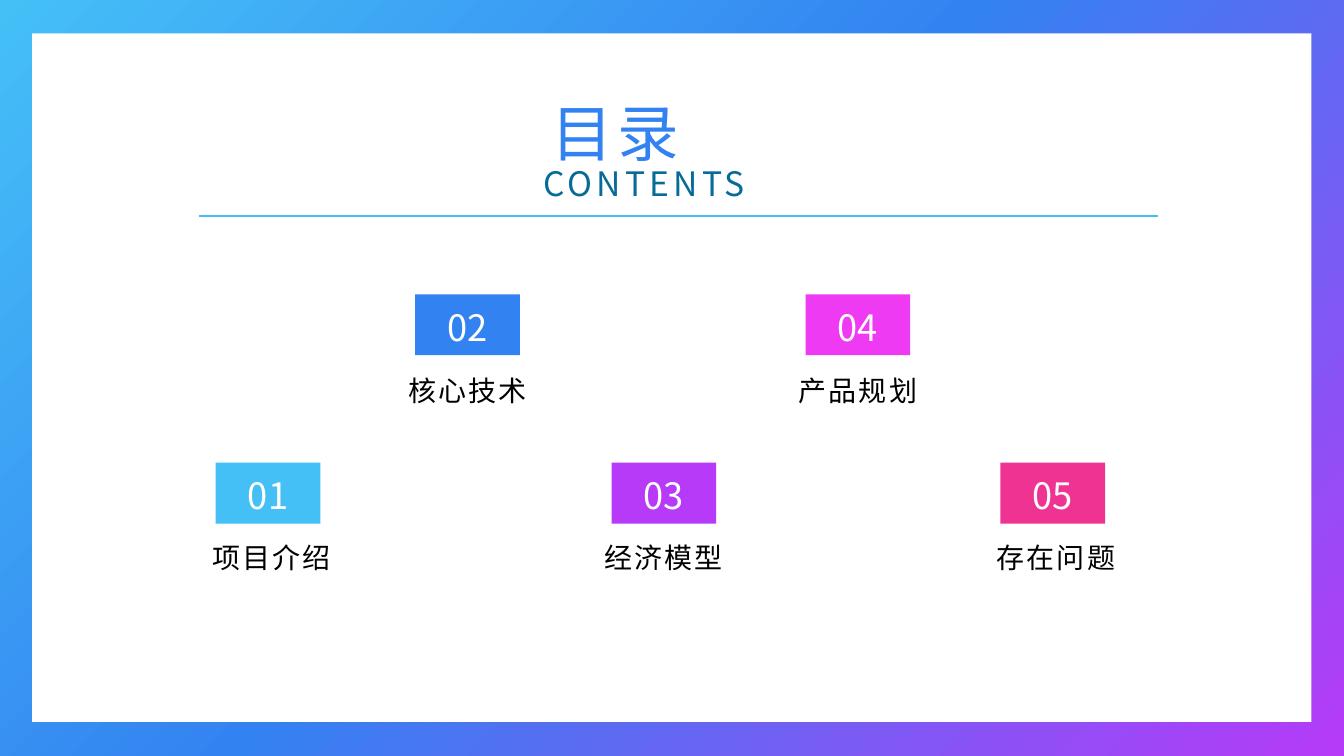
import copy

import pptx
import pptx.dml.color
import pptx.enum.shapes
import pptx.enum.text
import pptx.oxml
import pptx.oxml.ns
import pptx.util

Pt = pptx.util.Pt
RGBColor = pptx.dml.color.RGBColor
ALIGN = pptx.enum.text.PP_ALIGN
ANCHOR = pptx.enum.text.MSO_ANCHOR
RECTANGLE = pptx.enum.shapes.MSO_SHAPE.RECTANGLE

FONT = "Noto Sans CJK SC"
WHITE = RGBColor(0xFF, 0xFF, 0xFF)
BLACK = RGBColor(0x00, 0x00, 0x00)
SKY = RGBColor(0x45, 0xC0, 0xF7)
BLUE = RGBColor(0x33, 0x82, 0xF1)
PURPLE = RGBColor(0xB6, 0x3A, 0xF7)
MAGENTA = RGBColor(0xEF, 0x3A, 0xF3)
PINK = RGBColor(0xEF, 0x33, 0x93)
TEAL = RGBColor(0x07, 0x6B, 0x97)


def write_text(shape, text, size, color, line_spacing, spacing=0, align=ALIGN.CENTER,
               anchor=ANCHOR.TOP, top=0, bottom=3.6):
    frame = shape.text_frame
    frame.word_wrap = True
    frame.auto_size = pptx.enum.text.MSO_AUTO_SIZE.NONE
    frame.vertical_anchor = anchor
    frame.margin_left = frame.margin_right = Pt(7.2)
    frame.margin_top, frame.margin_bottom = Pt(top), Pt(bottom)
    paragraph = frame.paragraphs[0]
    paragraph.alignment = align
    paragraph.line_spacing = line_spacing
    run = paragraph.add_run()
    run.text = text
    run.font.size = Pt(size)
    run.font.color.rgb = color
    run.font.name = FONT
    properties = run.font._element
    properties.set("spc", str(int(spacing * 100)))
    east_asian = pptx.oxml.parse_xml(
        f'<a:ea {pptx.oxml.ns.nsdecls("a")} typeface="{FONT}"/>')
    properties.append(east_asian)


def add_rectangle(left, top, width, height, color):
    shape = slide.shapes.add_shape(RECTANGLE, Pt(left), Pt(top), Pt(width), Pt(height))
    shape.shadow.inherit = False
    shape.fill.solid()
    shape.fill.fore_color.rgb = color
    shape.line.fill.background()
    return shape


presentation = pptx.Presentation()
presentation.slide_width = Pt(960)
presentation.slide_height = Pt(540)
slide = presentation.slides.add_slide(presentation.slide_layouts[5])

background = slide.background.fill
background.gradient()
background.gradient_angle = 315
stop_list = slide.element.find(".//" + pptx.oxml.ns.qn("a:gsLst"))
stop_list.append(copy.deepcopy(stop_list[-1]))
for stop, (position, color) in zip(background.gradient_stops,
                                   [(0, SKY), (0.47, BLUE), (1, PURPLE)]):
    stop.position = position
    stop.color.rgb = color

title = slide.shapes.title
card = add_rectangle(23, 23.8, 913.7, 491.8, WHITE)
title.element.addprevious(card.element)

title.left, title.top, title.width, title.height = Pt(386.6), Pt(53.3), Pt(150.5), Pt(65.5)
write_text(title, "目录", 44, BLUE, 1.2, spacing=3, align=ALIGN.JUSTIFY, top=3.6, bottom=0)

subtitle = slide.shapes.add_textbox(Pt(369.4), Pt(109.4), Pt(181.4), Pt(40.3))
write_text(subtitle, "CONTENTS", 24, TEAL, 1.2, spacing=3, anchor=ANCHOR.MIDDLE)

divider = slide.shapes.add_connector(
    pptx.enum.shapes.MSO_CONNECTOR.STRAIGHT, Pt(142.3), Pt(154.6), Pt(827.5), Pt(154.6))
divider.line.color.rgb = SKY
divider.line.width = Pt(1.5)
divider.element.spPr.append(
    pptx.oxml.parse_xml(f'<a:effectLst {pptx.oxml.ns.nsdecls("a")}/>'))

BADGE_WIDTH, BADGE_HEIGHT = 74.8, 43.5
LABEL_WIDTH, LABEL_HEIGHT = 194.4, 49.7
UPPER_ROW = (210.2, 262.1)
LOWER_ROW = (330.5, 381)

sections = [
    ("项目介绍", SKY, 191.5, 194, LOWER_ROW),
    ("核心技术", BLUE, 334, 334, UPPER_ROW),
    ("经济模型", PURPLE, 474.2, 473.8, LOWER_ROW),
    ("产品规划", MAGENTA, 612.8, 612.8, UPPER_ROW),
    ("存在问题", PINK, 752, 754.2, LOWER_ROW),
]
for number, (name, color, badge_center, label_center, row) in enumerate(sections, 1):
    badge_top, label_top = row
    badge = add_rectangle(badge_center - BADGE_WIDTH / 2, badge_top,
                          BADGE_WIDTH, BADGE_HEIGHT, color)
    write_text(badge, f"{number:02d}", 25.9, WHITE, 1.1, anchor=ANCHOR.MIDDLE, top=3.6)
    label = slide.shapes.add_textbox(Pt(label_center - LABEL_WIDTH / 2), Pt(label_top),
                                     Pt(LABEL_WIDTH), Pt(LABEL_HEIGHT))
    write_text(label, name, 20, BLACK, 1.2, spacing=1.5)

presentation.save("out.pptx")
